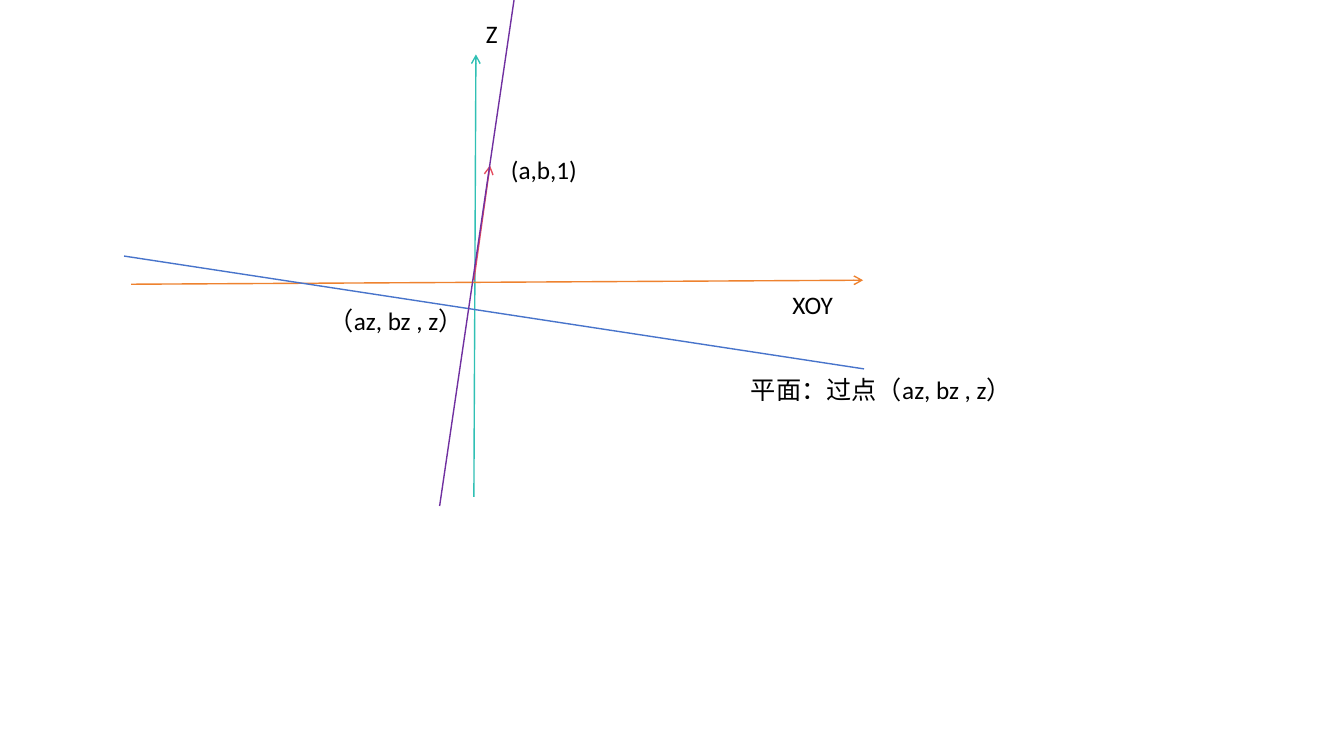
"""Build a slide showing a line through the origin meeting a plane, in a Z / XOY frame."""
from lxml.etree import SubElement
from pptx import Presentation
from pptx.dml.color import RGBColor
from pptx.enum.shapes import MSO_CONNECTOR as Connector
from pptx.enum.text import MSO_AUTO_SIZE as AutoSize
from pptx.oxml.ns import qn
from pptx.util import Inches, Pt

WIDTH, HEIGHT = Inches(13.33), Inches(7.5)
FONT = "Calibri"
COLOURS = {
    "z axis": "30C0B4",
    "xoy axis": "EE822F",
    "plane": "4874CB",
    "direction": "E54C5E",
    "line": "7030A0",
    "text": "000000",
}

# colour, start, end, arrow, label, label box; all lengths in percent of the slide
FIGURES = [
    ("z axis", (35.26, 65.73), (35.41, 7.2), True,
     "Z", (35.41, 1.73, 5.03, 5.33)),
    ("xoy axis", (9.75, 37.6), (64.22, 37.07), True,
     "XOY", (58.21, 37.6, 6, 5.33)),
    ("plane", (9.23, 33.87), (64.29, 48.8), False,
     "平面：过点（az, bz , z）", (55.14, 48.8, 33.31, 5.33)),
    ("direction", (35.26, 37.07), (36.46, 21.87), True,
     "(a,b,1)", (37.28, 19.73, 6.9, 4.93)),
    ("line", (32.71, 66.93), (38.48, -2.8), False,
     "（az, bz , z）", (23.71, 39.73, 50.04, 5.33)),
]


def place(x, y):
    return round(WIDTH * x / 100), round(HEIGHT * y / 100)


def add_line(slide, start, end, colour, arrow):
    connector = slide.shapes.add_connector(Connector.STRAIGHT, *place(*start), *place(*end))
    connector.line.color.rgb = RGBColor.from_string(COLOURS[colour])
    connector.line.width = Pt(1)
    if arrow:
        SubElement(connector.line._get_or_add_ln(), qn("a:tailEnd"), type="arrow")
    SubElement(connector._element.spPr, qn("a:effectLst"))


def add_text(slide, text, box, size=18, colour="text", font=FONT):
    left, top, width, height = box
    shape = slide.shapes.add_textbox(*place(left, top), *place(width, height))
    frame = shape.text_frame
    frame.word_wrap = True
    frame.auto_size = AutoSize.SHAPE_TO_FIT_TEXT
    run = frame.paragraphs[0].add_run()
    run.text = text
    run.font.size = Pt(size)
    run.font.name = font
    run.font.color.rgb = RGBColor.from_string(COLOURS[colour])


def main():
    presentation = Presentation()
    presentation.slide_width, presentation.slide_height = WIDTH, HEIGHT
    slide = presentation.slides.add_slide(presentation.slide_layouts[6])
    for colour, start, end, arrow, label, box in FIGURES:
        add_line(slide, start, end, colour, arrow)
        add_text(slide, label, box)
    presentation.save("out.pptx")


if __name__ == "__main__":
    main()
